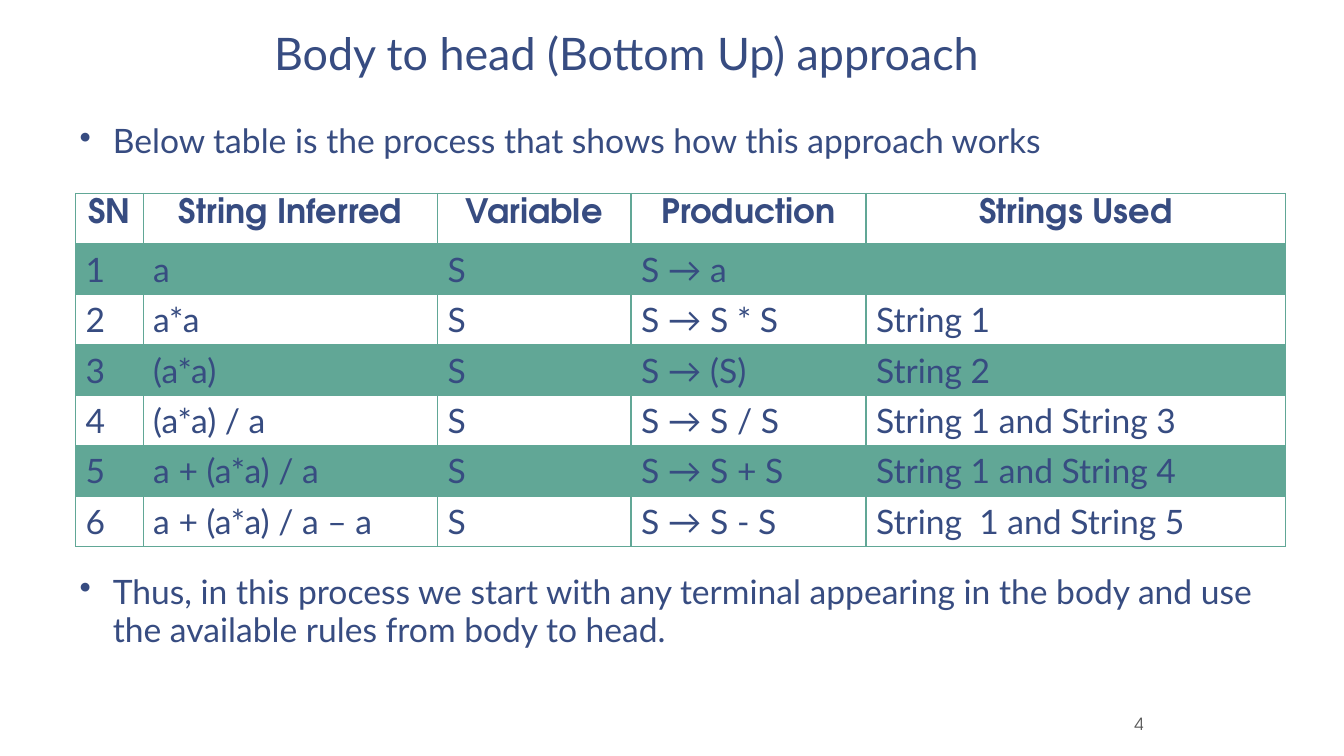
from lxml import etree
from pptx import Presentation
from pptx import util as u
from pptx.dml import color
from pptx.enum import text
from pptx.oxml import ns

COLORS = {"navy": "374C81", "green": "61A796", "gray": "595959"}
BODY_FONT, HEAD_FONT = "Lato", "TeX Gyre Adventor"
COLUMN_WIDTHS = [0.67, 2.92, 1.92, 2.33, 4.16]
ROW_HEIGHT = 0.5
HEADER = ["SN", "String Inferred", "Variable", "Production", "Strings Used"]
INFERENCES = [
    ("a", "a", ""),
    ("a*a", "S * S", "String 1"),
    ("(a*a)", "(S)", "String 2"),
    ("(a*a) / a", "S / S", "String 1 and String 3"),
    ("a + (a*a) / a", "S + S", "String 1 and String 4"),
    ("a + (a*a) / a – a", "S - S", "String  1 and String 5"),
]


def style_paragraph(p, content, size, name=BODY_FONT, ink="navy", bold=False):
    """Write content into a paragraph and set its font."""
    p.text = content
    p.font.size = u.Pt(size)
    p.font.name = name
    p.font.bold = bold
    p.font.color.rgb = color.RGBColor.from_string(COLORS[ink])


def add_text(s, box, content, size, anchor=text.MSO_ANCHOR.TOP, **font):
    """Add a wrapped text box and return its paragraph."""
    sp = s.shapes.add_textbox(*map(u.Inches, box))
    tf = sp.text_frame
    tf.word_wrap = True
    tf.vertical_anchor = anchor
    tf.margin_left = tf.margin_right = u.Inches(0.13)
    tf.margin_top = tf.margin_bottom = u.Inches(0.07)
    p = tf.paragraphs[0]
    style_paragraph(p, content, size, **font)
    return p


def add_bullet(s, box, content):
    """Add a text box holding one bulleted paragraph."""
    p = add_text(s, box, content, 24)
    p.line_spacing = 0.95
    pPr = p._p.get_or_add_pPr()
    pPr.set("marL", str(u.Inches(0.33)))
    pPr.set("indent", str(-u.Inches(0.33)))
    bullet = etree.Element(ns.qn("a:buChar"), char="•")
    pPr.find(ns.qn("a:lnSpc")).addnext(bullet)


def set_borders(cell, bottom):
    """Draw green borders round a cell, with the given bottom width."""
    tcPr = cell._tc.get_or_add_tcPr()
    for side, width in (("L", 1), ("R", 1), ("T", 1), ("B", bottom)):
        ln = etree.SubElement(tcPr, ns.qn(f"a:ln{side}"), w=str(u.Pt(width)))
        fill = etree.SubElement(ln, ns.qn("a:solidFill"))
        etree.SubElement(fill, ns.qn("a:srgbClr"), val=COLORS["green"])


def set_fill(cell, banded):
    """Give a cell a pale green band or no fill."""
    if not banded:
        cell.fill.background()
        return
    cell.fill.solid()
    cell.fill.fore_color.rgb = color.RGBColor.from_string(COLORS["green"])
    tint = cell._tc.tcPr.find(".//" + ns.qn("a:srgbClr"))
    etree.SubElement(tint, ns.qn("a:alpha"), val="20000")


def add_inference_table(s, left, top):
    """Add the table of inference steps."""
    rows = [HEADER] + [
        (str(number), string, "S", f"S → {body}", used)
        for number, (string, body, used) in enumerate(INFERENCES, 1)
    ]
    size = sum(COLUMN_WIDTHS), ROW_HEIGHT * len(rows)
    table = s.shapes.add_table(
        len(rows), len(HEADER), *map(u.Inches, (left, top, *size))
    ).table
    table.first_row = table.horz_banding = False
    for column, width in zip(table.columns, COLUMN_WIDTHS):
        column.width = u.Inches(width)
    for i, row in enumerate(rows):
        is_header = i == 0
        for j, content in enumerate(row):
            cell = table.cell(i, j)
            p = cell.text_frame.paragraphs[0]
            name = HEAD_FONT if is_header else BODY_FONT
            style_paragraph(p, content, 24, name=name, bold=is_header)
            if is_header:
                p.alignment = text.PP_ALIGN.CENTER
            set_borders(cell, 2 if is_header else 1)
            set_fill(cell, i % 2 == 1)


def main():
    """Build the slide and save it."""
    prs = Presentation()
    prs.slide_width, prs.slide_height = u.Inches(13.33), u.Inches(7.5)
    s = prs.slides.add_slide(prs.slide_layouts[6])
    title = add_text(s, (0.66, 0.17, 11.11, 0.69),
                     "Body to head (Bottom Up) approach", 32,
                     anchor=text.MSO_ANCHOR.BOTTOM)
    title.alignment = text.PP_ALIGN.CENTER
    title.line_spacing = 0.85
    add_bullet(s, (0.66, 1.15, 12.08, 0.55),
               "Below table is the process that shows how this approach works")
    add_bullet(s, (0.66, 5.62, 12.08, 0.95),
               "Thus, in this process we start with any terminal appearing in "
               "the body and use the available rules from body to head.")
    add_text(s, (11.12, 7, 1.21, 0.35), "4", 12, name=HEAD_FONT, ink="gray",
             anchor=text.MSO_ANCHOR.BOTTOM)
    add_inference_table(s, 0.75, 1.92)
    prs.save("out.pptx")


if __name__ == "__main__":
    main()
